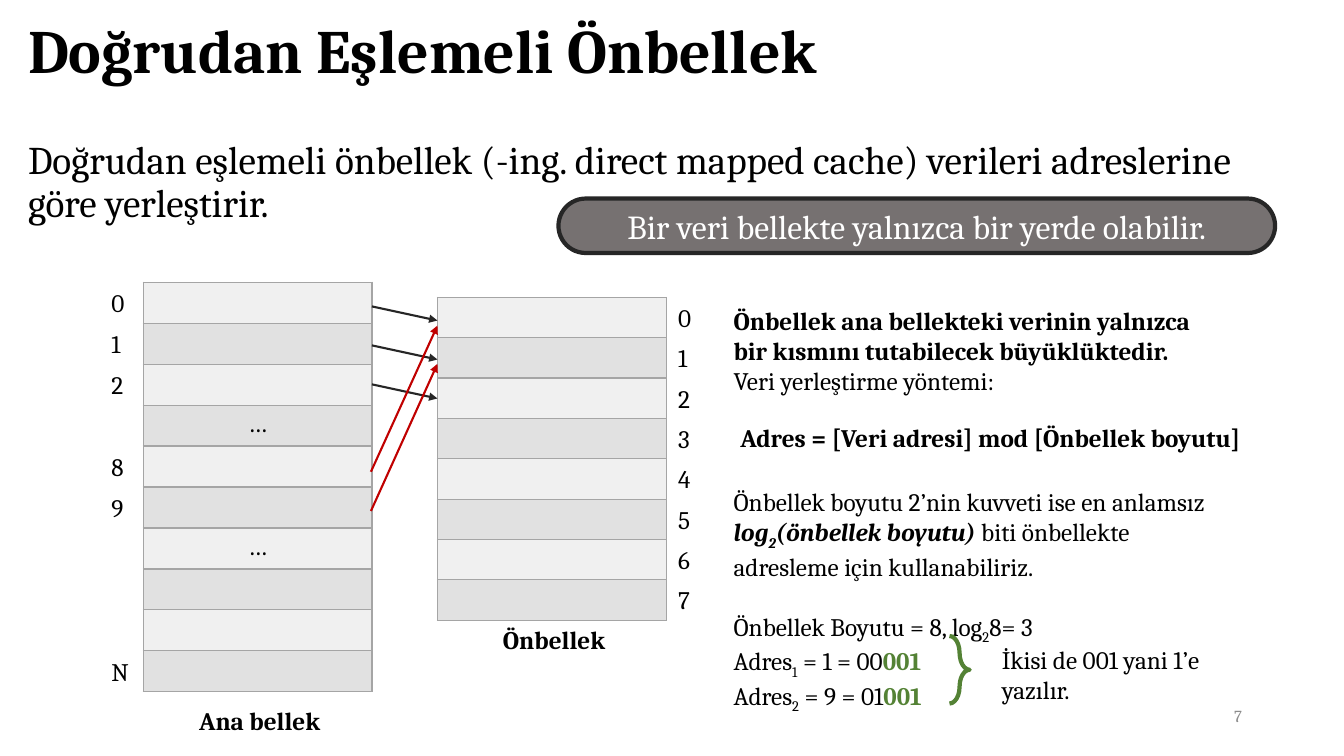
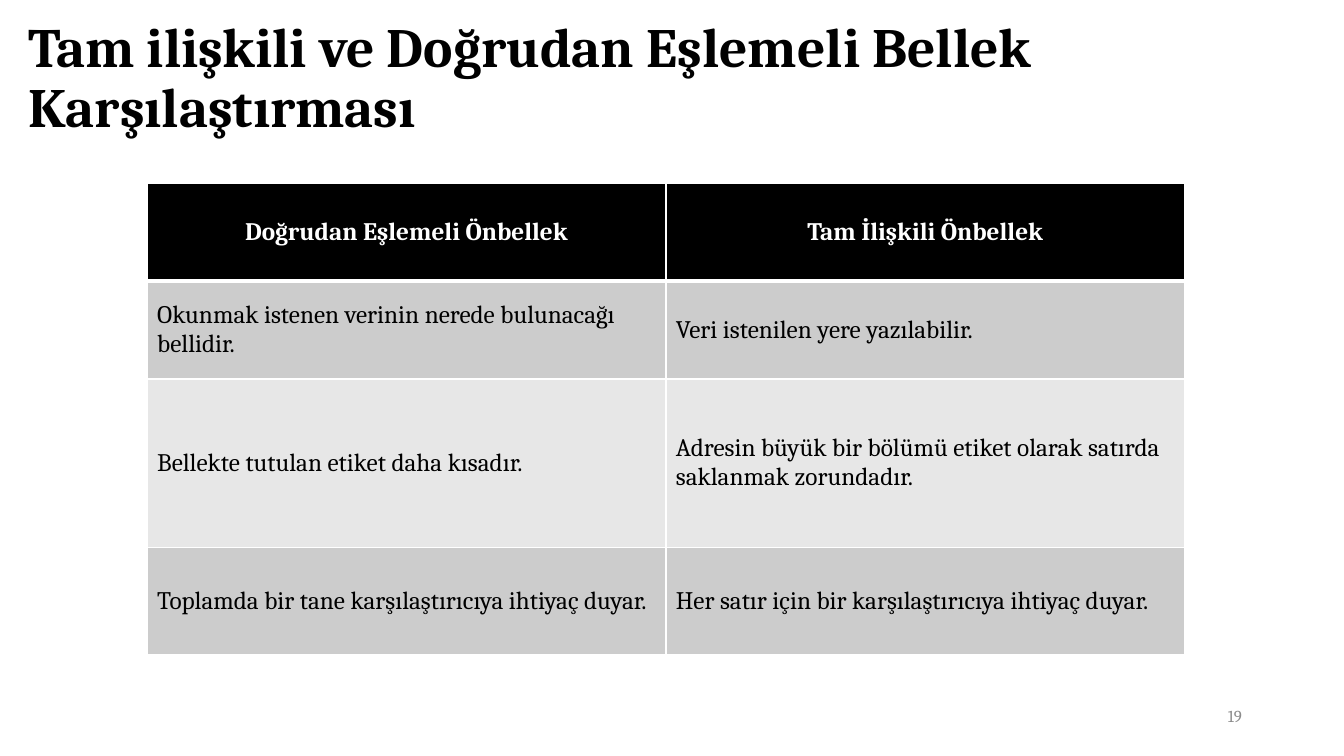
"""Builds two slides on direct mapped and fully associative caches."""
from pptx import Presentation
from pptx.dml.color import RGBColor
from pptx.enum.shapes import MSO_CONNECTOR, MSO_SHAPE
from pptx.enum.text import MSO_ANCHOR, PP_ALIGN
from pptx.oxml import parse_xml
from pptx.oxml.ns import nsdecls, qn
from pptx.util import Emu, Pt

CELL = 304800
COLS, ROWS = 40, 22.5
FONT = "Cambria"
BLACK, WHITE, DARK, RED, GREEN = "000000", "FFFFFF", "262626", "C00000", "548235"
GREY, EDGE, PILL = "8C8C8C", "A5A5A5", "767171"
BANDS = ["F0F0F0", "E1E1E1"]
BOLD = {"bold": True}
LOW = {"base": -25000}
CODE = {"bold": True, "color": GREEN}
MID, CENTER = {"anchor": MSO_ANCHOR.MIDDLE}, {"alignment": PP_ALIGN.CENTER}


def grid(*cells):
    return [Emu(round(c * CELL)) for c in cells]


def paint(fmt, color):
    fill = fmt.fill if hasattr(fmt, "fill") else fmt
    fill.solid()
    fill.fore_color.rgb = RGBColor.from_string(color)


def adorn(item, values):
    for key, value in values.items():
        setattr(item, key, value)


class Deck:
    def __init__(self):
        self.prs = Presentation()
        self.prs.slide_width, self.prs.slide_height = grid(COLS, ROWS)
        self.slide = None

    def page(self, title, size, number):
        self.slide = self.prs.slides.add_slide(self.prs.slide_layouts[6])
        self.text((0.54, 0.45, 38.58, 3.12), [title], size, BLACK, {"line_spacing": 0.9}, MID, BOLD)
        self.text((28.26, 20.85, 9, 1.2), [number], 12, GREY, {"alignment": PP_ALIGN.RIGHT}, MID)

    def fill(self, frame, paras, size=18, color=BLACK, layout={}, look={}):
        for i, para in enumerate(paras):
            line = frame.paragraphs[0] if i == 0 else frame.add_paragraph()
            adorn(line, layout)
            runs, gap = para if isinstance(para, tuple) else (para, None)
            if gap:
                line.space_before = Pt(gap)
            for words, style in [(runs, {})] if isinstance(runs, str) else runs:
                run = line.add_run()
                run.text = words
                form = {"name": FONT, "size": Pt(size), **look, **style}
                base = form.pop("base", None)
                paint(run.font, form.pop("color", color))
                adorn(run.font, form)
                if base:
                    run.font._element.set("baseline", str(base))

    def text(self, box, paras, size=18, color=BLACK, layout={}, body={}, look={}):
        frame = self.slide.shapes.add_textbox(*grid(*box)).text_frame
        adorn(frame, {"word_wrap": True, **body})
        self.fill(frame, paras, size, color, layout, look)

    def shape(self, kind, box, line, fill=None, adj=()):
        item = self.slide.shapes.add_shape(kind, *grid(*box))
        item.shadow.inherit = False
        for i, value in enumerate(adj):
            item.adjustments[i] = value
        if fill:
            paint(item, fill)
        else:
            item.fill.background()
        paint(item.line, line)
        item.line.width = Pt(3)
        return item

    def arrow(self, start, end, color):
        item = self.slide.shapes.add_connector(MSO_CONNECTOR.STRAIGHT, *grid(*start, *end))
        paint(item.line, color)
        item.line.width = Pt(1.5)
        item.line._get_or_add_ln().append(parse_xml(f'<a:tailEnd {nsdecls("a")} type="triangle"/>'))
        item._element.find(qn("p:spPr")).append(parse_xml(f'<a:effectLst {nsdecls("a")}/>'))

    def table(self, spot, widths, heights):
        box = grid(*spot, sum(widths), sum(heights))
        table = self.slide.shapes.add_table(len(heights), len(widths), *box).table
        adorn(table, {"first_row": False, "horz_banding": False})
        for col, width in zip(table.columns, grid(*widths)):
            col.width = width
        for row, height in zip(table.rows, grid(*heights)):
            row.height = height
        return table

    def cell(self, cell, fill, edge, widths=(1, 1, 1, 1)):
        paint(cell, fill)
        props = cell._tc.get_or_add_tcPr()
        for i, (side, width) in enumerate(zip("LRTB", widths)):
            props.insert(i, parse_xml(
                f'<a:ln{side} {nsdecls("a")} w="{int(Pt(width))}"><a:solidFill>'
                f'<a:srgbClr val="{edge}"/></a:solidFill></a:ln{side}>'))

    def memory(self, spot, count, step, caption, below, side, labels, dots=()):
        left, top = spot
        table = self.table(spot, [6.81], [step] * count)
        for i in range(count):
            cell = table.cell(i, 0)
            self.cell(cell, BANDS[i % 2], EDGE)
            if i in dots:
                self.fill(cell.text_frame, ["…"], layout=CENTER)
        self.text((left - 0.7, below, 8.34, 1.2), [caption], layout=CENTER, look=BOLD)
        for row, label in labels.items():
            self.text((side, top + row * step, 1.2, 1.2), [label])


deck = Deck()

deck.page("Doğrudan Eşlemeli Önbellek", 44, "7")
deck.text((0.54, 4.05, 38.58, 16.2),
          ["Doğrudan eşlemeli önbellek (-ing. direct mapped cache) verileri adreslerine göre yerleştirir."],
          28, layout={"line_spacing": 0.9, "space_before": Pt(10)})
pill = deck.shape(MSO_SHAPE.ROUNDED_RECTANGLE, (16.62, 5.91, 21.33, 1.62), DARK, PILL, [0.5])
pill.text_frame.vertical_anchor = MSO_ANCHOR.MIDDLE
deck.fill(pill.text_frame, ["Bir veri bellekte yalnızca bir yerde olabilir."], 24, WHITE, CENTER)

deck.memory((4.26, 8.4), 10, 1.22, "Ana bellek", 20.85, 3.02,
            {0: "0", 1: "1", 2: "2", 4: "8", 5: "9", 9: "N"}, (3, 6))
deck.memory((13.02, 8.85), 8, 1.2, "Önbellek", 18.42, 19.89, {i: str(i) for i in range(8)})
for i in range(3):
    deck.arrow((11.07, 9.12 + 1.16 * i), (13.02, 9.54 + 1.16 * i), DARK)
for i in range(2):
    deck.arrow((11.04, 14.04 + 1.17 * i), (13.02, 9.69 + 1.14 * i), RED)

ITALIC = {"bold": True, "italic": True}
deck.text((21.54, 8.94, 15.03, 13.02), [
    [("Önbellek ana bellekteki verinin yalnızca bir kısmını tutabilecek büyüklüktedir.", BOLD)],
    "Veri yerleştirme yöntemi:",
    ([("Önbellek boyutu 2’nin kuvveti ise en anlamsız ", {}), ("log", ITALIC),
      ("2", {**ITALIC, **LOW}), ("(önbellek boyutu)", ITALIC),
      (" biti önbellekte adresleme için kullanabiliriz.", {})], 64.5),
    ([("Önbellek Boyutu = 8, log", {}), ("2", LOW), ("8= 3", {})], 21.5),
    *[[("Adres", {}), (sub, LOW), (value, {}), ("001", CODE)]
      for sub, value in (("1", " = 1 = 00"), ("2", " = 9 = 01"))],
])
deck.text((19.41, 12.42, 20.13, 1.2), ["Adres = [Veri adresi] mod [Önbellek boyutu]"],
          layout={**CENTER, "space_before": Pt(6), "space_after": Pt(6)}, look=BOLD)
deck.shape(MSO_SHAPE.RIGHT_BRACE, (28.26, 18.93, 0.6, 2.01), GREEN, adj=[1.84, 0.5])
deck.text((29.52, 19.02, 8.01, 2.13), ["İkisi de 001 yani 1’e yazılır."])

deck.page("Tam ilişkili ve Doğrudan Eşlemeli Bellek Karşılaştırması", 39.6, "19")
facts = [
    ("Doğrudan Eşlemeli Önbellek", "Tam İlişkili Önbellek"),
    ("Okunmak istenen verinin nerede bulunacağı bellidir.", "Veri istenilen yere yazılabilir."),
    ("Bellekte tutulan etiket daha kısadır.",
     "Adresin büyük bir bölümü etiket olarak satırda saklanmak zorundadır."),
    ("Toplamda bir tane karşılaştırıcıya ihtiyaç duyar.",
     "Her satır için bir karşılaştırıcıya ihtiyaç duyar."),
]
table = deck.table((4.38, 5.46), [15.44] * 2, [2.91, 2.91, 5.01, 3.21])
for r, row in enumerate(facts):
    head = r == 0
    shade = BLACK if head else ["E7E7E7", "CCCCCC"][r % 2]
    for c, words in enumerate(row):
        cell = table.cell(r, c)
        cell.vertical_anchor = MSO_ANCHOR.MIDDLE
        deck.cell(cell, shade, WHITE, (1, 1, 3 if r == 1 else 1, 3 if head else 1))
        deck.fill(cell.text_frame, [words], 18, WHITE if head else BLACK,
                  CENTER if head else {}, BOLD if head else {})

MID_NOTE = None
deck.prs.save("out.pptx")
